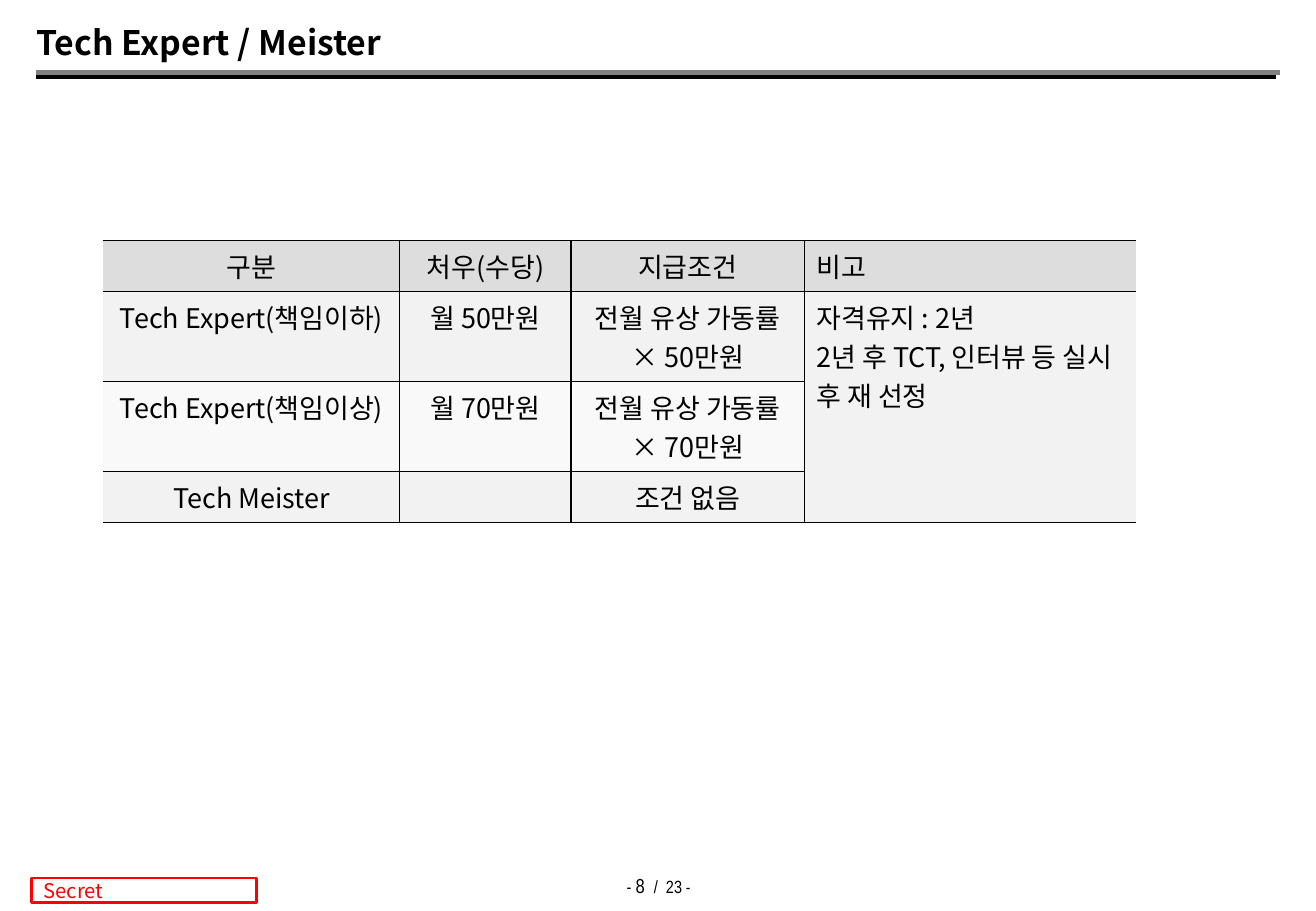
"""Build the Tech Expert / Meister allowance slide."""
from lxml import etree
from pptx import Presentation, util as u
from pptx.dml.color import RGBColor
from pptx.enum import shapes, text
from pptx.oxml import ns

TITLE = "Tech Expert / Meister"
ROWS = [
    ("구분", "처우(수당)", "지급조건", "비고"),
    ("Tech Expert(책임이하)", "월 50만원", "전월 유상 가동률 × 50만원",
     "자격유지 : 2년\n2년 후 TCT, 인터뷰 등 실시 후 재 선정"),
    ("Tech Expert(책임이상)", "월 70만원", "전월 유상 가동률 × 70만원", ""),
    ("Tech Meister", "", "조건 없음", ""),
]
PAGE_NUMBER = [("- ", 10.5), ("8  ", 12), ("/  23", 10.5), (" -", 10)]
COLORS = {"ink": "000000", "rule": "808080", "secret": "FF0000",
          "header": "DDDDDD", "odd": "F2F2F2", "even": "F9F9F9"}
BODY_FONT, NUMBER_FONT = "Noto Sans CJK KR", "Arial Narrow"

WIDTH, HEIGHT = u.Inches(10.83), u.Inches(7.5)
TITLE_AREA = (2.77, 2.27, 50.88, 4.53)
RULES = [(96.95, 8.27, "ink", 4.5), (97.23, 8, "rule", 3)]
SECRET_AREA = (2.4, 96.4, 17.08, 2.67)
NUMBER_AREA = (44.23, 95.2, 11.63, 4)
TABLE_CORNER = (7.85, 26.4)
COLUMN_SHARES = (22.53, 13.02, 17.73, 25.21)
ROW_SHARE = 5.47


def across(share):
    return round(WIDTH * share / 100)


def down(share):
    return round(HEIGHT * share / 100)


def area(left, top, width, height):
    return across(left), down(top), across(width), down(height)


def color(name):
    return RGBColor.from_string(COLORS[name])


def style(span, size, font=BODY_FONT, ink="ink", bold=False):
    span.font.size, span.font.name, span.font.bold = u.Pt(size), font, bold
    span.font.color.rgb = color(ink)
    east = etree.SubElement(span.font._element, ns.qn("a:ea"))
    east.set("typeface", font)


def set_borders(cell, sides):
    properties = cell._tc.get_or_add_tcPr()
    for position, side in enumerate("LRTB"):
        border = etree.Element(ns.qn(f"a:ln{side}"), w=str(u.Pt(1)))
        if side in sides:
            fill = etree.SubElement(border, ns.qn("a:solidFill"))
            etree.SubElement(fill, ns.qn("a:srgbClr"), val=COLORS["ink"])
        else:
            etree.SubElement(border, ns.qn("a:noFill"))
        properties.insert(position, border)


def add_title(slide):
    title = slide.shapes.title
    title.left, title.top, title.width, title.height = area(*TITLE_AREA)
    frame = title.text_frame
    frame.text = TITLE
    frame.margin_left = frame.margin_right = frame.margin_top = frame.margin_bottom = 0
    frame.vertical_anchor = text.MSO_ANCHOR.BOTTOM
    para = frame.paragraphs[0]
    para.alignment = text.PP_ALIGN.LEFT
    style(para.runs[0], 20, bold=True)


def add_rules(slide):
    for end, top, ink, weight in RULES:
        rule = slide.shapes.add_connector(
            shapes.MSO_CONNECTOR.STRAIGHT,
            across(TITLE_AREA[0]), down(top), across(end), down(top))
        rule.line.color.rgb = color(ink)
        rule.line.width = u.Pt(weight)
        etree.SubElement(rule._element.spPr, ns.qn("a:effectLst"))


def add_table(slide):
    left, top = TABLE_CORNER
    table = slide.shapes.add_table(
        len(ROWS), len(COLUMN_SHARES),
        *area(left, top, sum(COLUMN_SHARES), ROW_SHARE * len(ROWS))).table
    for column, share in zip(table.columns, COLUMN_SHARES):
        column.width = across(share)
    last = len(COLUMN_SHARES) - 1
    for row, words in enumerate(ROWS):
        table.rows[row].height = down(ROW_SHARE)
        shade = "header" if row == 0 else ("odd" if row % 2 else "even")
        for column, word in enumerate(words):
            cell = table.cell(row, column)
            cell.fill.solid()
            cell.fill.fore_color.rgb = color(shade)
            set_borders(cell, "TB" + "L" * (column > 0) + "R" * (column < last))
            cell.text_frame.text = word
            for para in cell.text_frame.paragraphs:
                para.font.size = u.Pt(16)
                para.alignment = text.PP_ALIGN.LEFT if column == last else text.PP_ALIGN.CENTER
                for span in para.runs:
                    style(span, 16)
    table.cell(1, last).merge(table.cell(len(ROWS) - 1, last))


def add_footer(slide):
    box = slide.shapes.add_shape(shapes.MSO_SHAPE.RECTANGLE, *area(*SECRET_AREA))
    box.shadow.inherit = False
    box.fill.background()
    box.line.color.rgb = color("secret")
    box.line.width = u.Pt(1.5)
    box.text_frame.text = "Secret"
    style(box.text_frame.paragraphs[0].runs[0], 12, ink="secret")

    number = slide.shapes.add_textbox(*area(*NUMBER_AREA))
    number.text_frame.word_wrap = True
    number.text_frame.vertical_anchor = text.MSO_ANCHOR.MIDDLE
    para = number.text_frame.paragraphs[0]
    para.alignment = text.PP_ALIGN.CENTER
    for word, size in PAGE_NUMBER:
        span = para.add_run()
        span.text = word
        style(span, size, NUMBER_FONT)


def main():
    deck = Presentation()
    deck.slide_width, deck.slide_height = WIDTH, HEIGHT
    slide = deck.slides.add_slide(deck.slide_layouts[5])
    add_title(slide)
    add_rules(slide)
    add_table(slide)
    add_footer(slide)
    deck.save("out.pptx")


if __name__ == "__main__":
    main()
